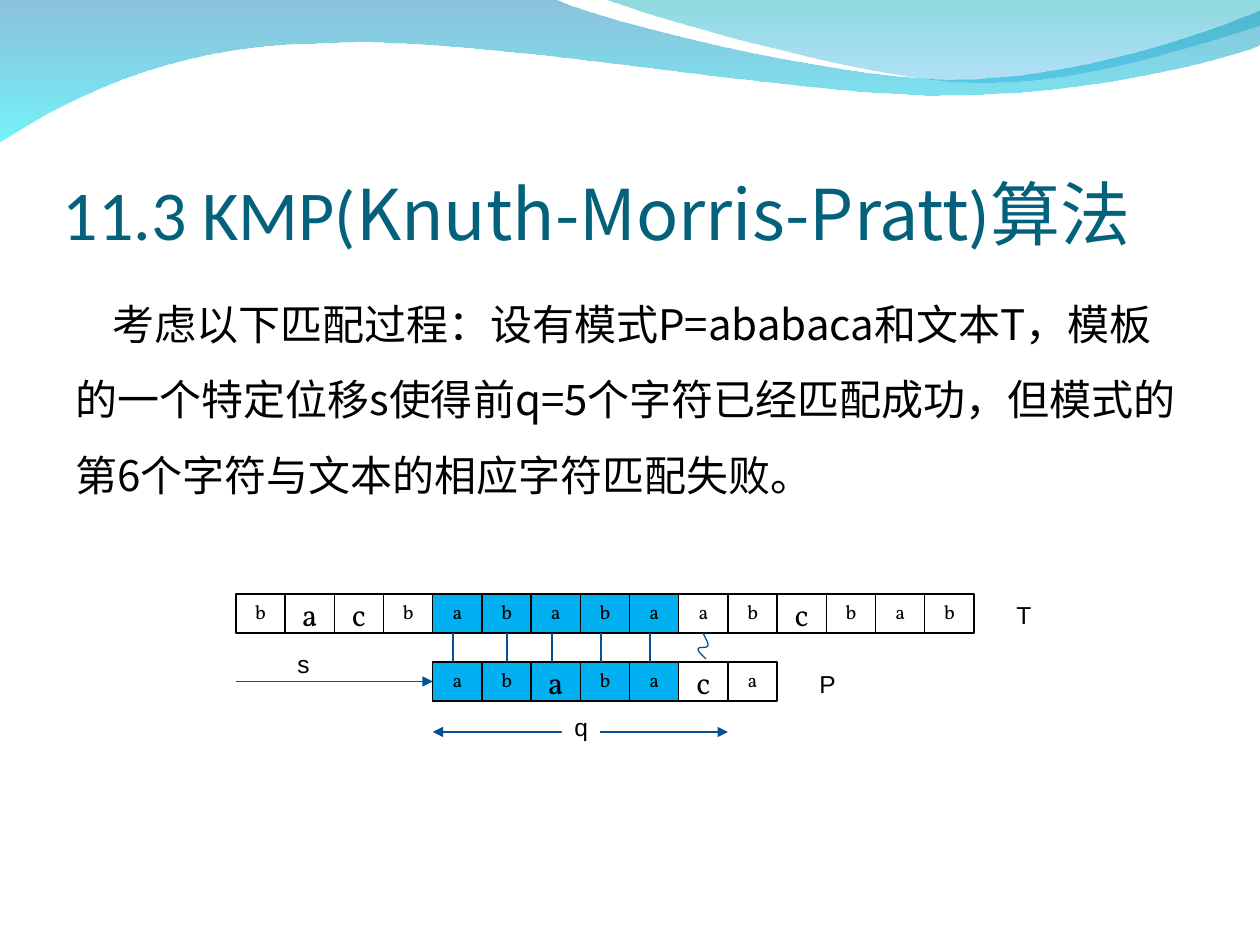
from lxml import etree
from pptx import Presentation
from pptx import util as u
from pptx.dml.color import RGBColor
from pptx.enum import shapes, text
from pptx.oxml.ns import qn

# Content
TITLE = [("11.3 KMP(", "Calibri"), ("Knuth-Morris-Pratt", "Noto Sans CJK SC"), (")算法", "Calibri")]
BODY = ("考虑以下匹配过程：设有模式P=ababaca和文本T，模板的一个特定位移s使得前q=5个字符已经匹配成功，"
        "但模式的第6个字符与文本的相应字符匹配失败。")
# characters, first column, top, matched columns, indexes of large letters
ROWS = {
    "T": ("bacbababaabcbab", 0, 594, range(4, 9), (1, 2, 11)),
    "P": ("ababaca", 4, 662, range(4, 9), (2, 5)),
}
LABELS = [("s", 285, 643, 69), ("T", 1004, 594, 69), ("P", 807, 663, 69), ("q", 562, 706, 38)]
MATCH_X = [453, 507, 552, 601, 650]
MISMATCH = [(703, 633), (706, 639, 709, 644, 708, 646),
            (707, 649, 698, 646, 698, 649), (698, 652, 702, 655, 706, 659)]
# outline, then gradient stops as (colour, opacity in percent)
WAVES = [
    ([(0, -1), (554, -1), (600, 21, 837, 79, 955, 79), (1075, 79, 1207, 33, 1260, 11),
      (1261, 45), (1239, 55, 1096, 96, 940, 95), (784, 95, 481, 35, 324, 43),
      (163, 44, 58, 105, -1, 142)],
     [("0079AF", 45), ("00EBF8", 55)]),
    ([(604, -1), (641, 14, 859, 78, 969, 82), (1079, 87, 1211, 40, 1260, 26), (1260, 0)],
     [("00ADB6", 45), ("009BE5", 30)]),
]
BLUE, BLACK, MATCHED = "065093", "000000", "00B0F0"
GRID_LEFT, GRID_WIDTH, COLUMNS, CELL_HEIGHT = 236, 738, 15, 39


def px(n):
    return round(n * 914400 / 126)


def rgb(value):
    return RGBColor.from_string(value)


def column_x(column):
    return GRID_LEFT + GRID_WIDTH * column / COLUMNS


def style_run(run, font, size, color=BLACK):
    run.font.name, run.font.size = font, u.Pt(size)
    run.font.color.rgb = rgb(color)
    east_asian = etree.SubElement(run._r.get_or_add_rPr(), qn("a:ea"))
    east_asian.set("typeface", "Noto Sans CJK SC")


def add_box(left, top, width, height):
    box = slide.shapes.add_textbox(px(left), px(top), px(width), px(height))
    box.text_frame.word_wrap = True
    return box


def add_outline(segments, closed):
    """Two numbers are a straight step, six are a cubic curve."""
    points = [(px(s[i]), px(s[i + 1])) for s in segments for i in range(0, len(s), 2)]
    builder = slide.shapes.build_freeform(*points[0])
    builder.add_line_segments(points[1:], close=closed)
    outline = builder.convert_to_shape()
    outline.shadow.inherit = False
    # Turn each run of three steps that belongs to a curve into one curve
    steps = iter(list(outline._element.iter(qn("a:lnTo"))))
    for segment in segments[1:]:
        first = next(steps)
        if len(segment) == 6:
            curve = etree.Element(qn("a:cubicBezTo"))
            first.addprevious(curve)
            for step in (first, next(steps), next(steps)):
                curve.append(step[0])
                step.getparent().remove(step)
    return outline


def add_line(x1, y1, x2, y2, *arrow_ends):
    line = slide.shapes.add_connector(shapes.MSO_CONNECTOR.STRAIGHT, px(x1), px(y1), px(x2), px(y2))
    line.line.color.rgb, line.line.width = rgb(BLUE), u.Pt(0.75)
    for end in arrow_ends:
        etree.SubElement(line.line._get_or_add_ln(), qn(end)).set("type", "triangle")
    etree.SubElement(line._element.spPr, qn("a:effectLst"))
    return line


def add_cell(letter, column, top, matched, large):
    left, right = px(column_x(column)), px(column_x(column + 1))
    cell = slide.shapes.add_shape(shapes.MSO_SHAPE.RECTANGLE, left, px(top), right - left, px(CELL_HEIGHT))
    cell.shadow.inherit = False
    if matched:
        cell.fill.solid()
        cell.fill.fore_color.rgb = rgb(MATCHED)
    else:
        cell.fill.background()
    cell.line.color.rgb, cell.line.width = rgb(BLACK), u.Pt(0.75)
    frame = cell.text_frame
    frame.text, frame.vertical_anchor = letter, text.MSO_ANCHOR.MIDDLE
    paragraph = frame.paragraphs[0]
    paragraph.alignment = text.PP_ALIGN.CENTER
    if not large:
        paragraph.line_spacing = 0.8
    style_run(paragraph.runs[0], "Vollkorn", 18 if large else 11.2)
    return cell


deck = Presentation()
deck.slide_width, deck.slide_height = px(1260), px(945)
slide = deck.slides.add_slide(deck.slide_layouts[6])

# Waves along the top
for segments, stops in WAVES:
    wave = add_outline(segments, True)
    wave.line.fill.background()
    wave.fill.gradient()
    wave.fill.gradient_angle = 270
    for stop, (color, opacity) in zip(wave.fill.gradient_stops, stops):
        stop.color.rgb = rgb(color)
        alpha = etree.SubElement(stop._gs.find(qn("a:srgbClr")), qn("a:alpha"))
        alpha.set("val", str(opacity * 1000))

# Title
title = add_box(63, 97, 1134, 158).text_frame
title.vertical_anchor = text.MSO_ANCHOR.BOTTOM
title.margin_left = title.margin_right = title.margin_bottom = 0
for words, font in TITLE:
    run = title.paragraphs[0].add_run()
    run.text = words
    style_run(run, font, 40, "04617B")

# Body
body = add_box(63, 267, 1134, 605).text_frame
body.text = BODY
body.paragraphs[0].line_spacing = 1.5
body.paragraphs[0]._p.get_or_add_pPr().set("indent", str(px(37)))
style_run(body.paragraphs[0].runs[0], "Noto Sans CJK SC", 24)

# Text and pattern rows
cells = {name: [add_cell(letter, first + i, top, first + i in matched, i in large)
                for i, letter in enumerate(letters)]
         for name, (letters, first, top, matched, large) in ROWS.items()}

# Matches and the mismatch
text_bottom, pattern_top = ROWS["T"][2] + CELL_HEIGHT, ROWS["P"][2]
for x in MATCH_X:
    add_line(x, text_bottom, x, pattern_top)
mismatch = add_outline(MISMATCH, False)
mismatch.fill.background()
mismatch.line.color.rgb, mismatch.line.width = rgb(BLUE), u.Pt(0.75)

# Shift s and matched length q
shift_y = pattern_top + CELL_HEIGHT / 2
shift = add_line(GRID_LEFT, shift_y, column_x(4), shift_y, "a:tailEnd")
shift.end_connect(cells["P"][0], 1)
add_line(column_x(4), 732, column_x(10), 732, "a:headEnd", "a:tailEnd")

# Labels
for name, left, top, width in LABELS:
    label = add_box(left, top, width, 43)
    label.text_frame.text = name
    style_run(label.text_frame.paragraphs[0].runs[0], "Arial", 14)
    if name == "q":
        label.fill.solid()
        label.fill.fore_color.rgb = rgb("FFFFFF")

deck.save("out.pptx")
